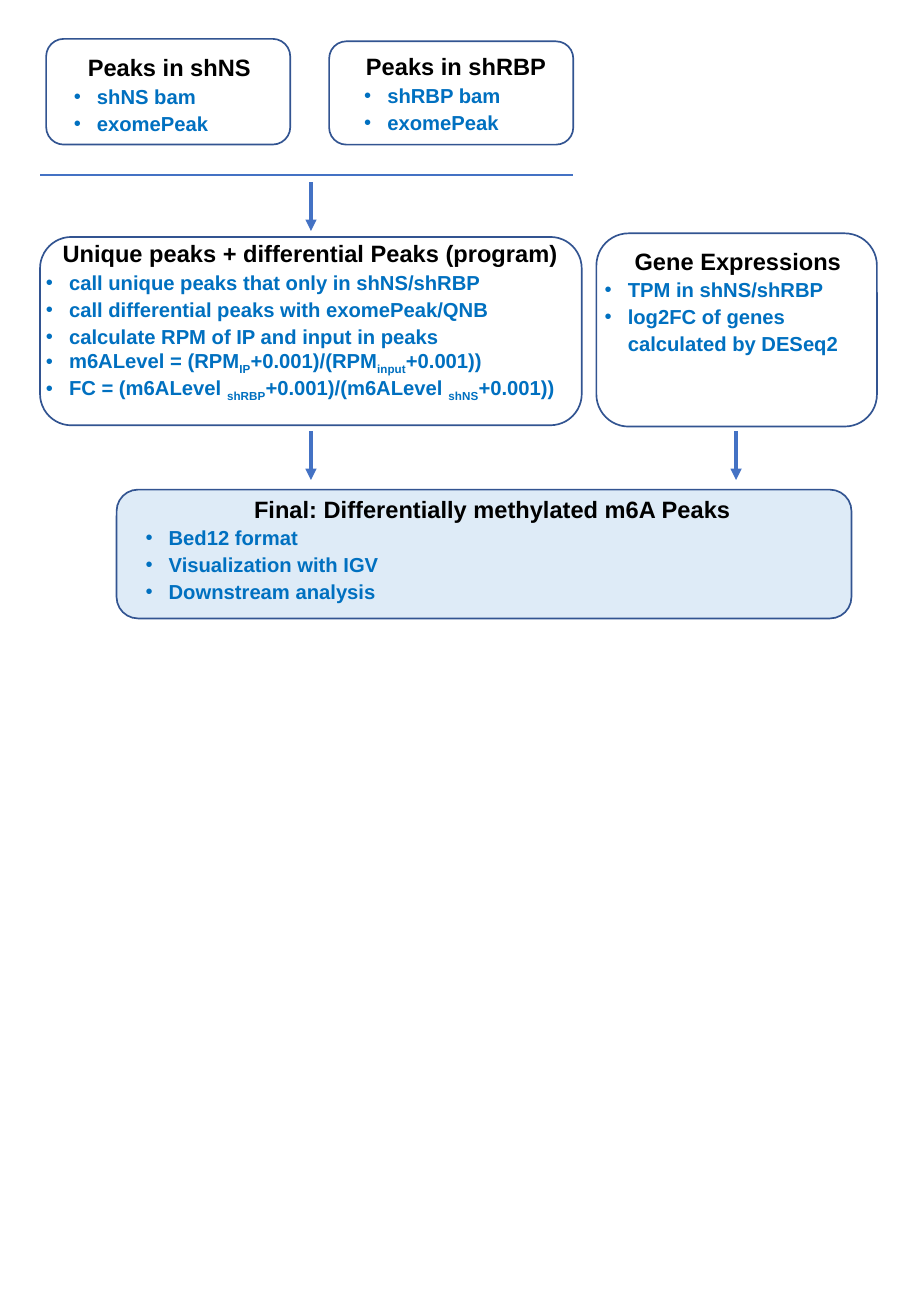
from lxml.etree import SubElement
from pptx import Presentation
from pptx.dml.color import RGBColor
from pptx.enum.shapes import MSO_CONNECTOR, MSO_SHAPE
from pptx.enum.text import PP_ALIGN
from pptx.oxml.ns import qn
from pptx.util import Inches, Pt

FONT = "Arial"
TITLE_COLOR = "000000"
BULLET_COLOR = "0070C0"
BORDER_COLOR = "325491"
FLOW_COLOR = "4472C4"
FINAL_FILL = "DEEBF7"
BULLET_INDENT = 0.19
PROGRAM_X, EXPRESSION_X = 2.56, 6.06
ARROW_LENGTH = 0.4

CARDS = [
    ((0.38, 0.32, 2.01, 0.87), (0.13, 0.07, 1.77, 0.77), None,
     "Peaks in shNS", ["shNS bam", "exomePeak"]),
    ((4.91, 1.92, 2.31, 1.59), (-0.03, 0.06, 2.39, 1.41), None,
     "Gene Expressions",
     ["TPM in shNS/shRBP", "log2FC of genes calculated by DESeq2"]),
    ((2.71, 0.34, 2.01, 0.85), (0.19, 0.04, 1.71, 0.76), None,
     "Peaks in shRBP", ["shRBP bam", "exomePeak"]),
    ((0.33, 1.95, 4.46, 1.55), (-0.05, -0.03, 4.55, 1.44), None,
     "Unique peaks + differential Peaks (program)",
     ["call unique peaks that only in shNS/shRBP",
      "call differential peaks with exomePeak/QNB",
      "calculate RPM of IP and input in peaks",
      "m6ALevel = (RPM_IP_+0.001)/(RPM_input_+0.001))",
      "FC = (m6ALevel _shRBP_+0.001)/(m6ALevel _shNS_+0.001))"]),
    ((0.96, 4.03, 6.05, 1.06), (0.14, -0.01, 5.91, 0.99), FINAL_FILL,
     "Final: Differentially methylated m6A Peaks",
     ["Bed12 format", "Visualization with IGV", "Downstream analysis"]),
]


def color(hex_string):
    return RGBColor.from_string(hex_string)


def format_run(run, size, hex_string):
    run.font.name = FONT
    run.font.size = Pt(size)
    run.font.bold = True
    run.font.color.rgb = color(hex_string)


def add_bullet(text_frame, text):
    paragraph = text_frame.add_paragraph()
    paragraph.line_spacing = Pt(16)
    properties = paragraph._p.get_or_add_pPr()
    properties.set("marL", str(Inches(BULLET_INDENT)))
    properties.set("indent", str(-Inches(BULLET_INDENT)))
    SubElement(properties, qn("a:buFont")).set("typeface", FONT)
    SubElement(properties, qn("a:buChar")).set("char", "•")
    for index, part in enumerate(text.split("_")):
        run = paragraph.add_run()
        run.text = part
        format_run(run, 12, BULLET_COLOR)
        if index % 2:
            run.font._element.set("baseline", "-25000")


def add_card(slide, box, text_box, fill, title, bullets):
    left, top, width, height = box
    offset_x, offset_y, text_width, text_height = text_box
    group = slide.shapes.add_group_shape()
    frame = group.shapes.add_shape(
        MSO_SHAPE.ROUNDED_RECTANGLE,
        Inches(left), Inches(top), Inches(width), Inches(height))
    frame.shadow.inherit = False
    frame.line.color.rgb = color(BORDER_COLOR)
    frame.line.width = Pt(1)
    if fill:
        frame.fill.solid()
        frame.fill.fore_color.rgb = color(fill)
    else:
        frame.fill.background()

    label = group.shapes.add_textbox(
        Inches(left + offset_x), Inches(top + offset_y),
        Inches(text_width), Inches(text_height))
    text_frame = label.text_frame
    text_frame.word_wrap = True
    text_frame.text = title
    heading = text_frame.paragraphs[0]
    heading.alignment = PP_ALIGN.CENTER
    format_run(heading.runs[0], 14, TITLE_COLOR)
    for bullet in bullets:
        add_bullet(text_frame, bullet)


def add_line(slide, start, end, width):
    connector = slide.shapes.add_connector(
        MSO_CONNECTOR.STRAIGHT, *map(Inches, start + end))
    connector.line.color.rgb = color(FLOW_COLOR)
    connector.line.width = Pt(width)
    SubElement(connector._element.spPr, qn("a:effectLst"))
    return connector


def add_down_arrow(slide, x, top):
    arrow = add_line(slide, (x, top), (x, top + ARROW_LENGTH), 2.25)
    SubElement(arrow.line._get_or_add_ln(), qn("a:tailEnd")).set("type", "triangle")


def build_workflow(slide):
    for card in CARDS:
        add_card(slide, *card)
    add_line(slide, (0.33, 1.44), (4.72, 1.44), 1.5)
    for x, top in [(PROGRAM_X, 3.55), (EXPRESSION_X, 3.55), (PROGRAM_X, 1.5)]:
        add_down_arrow(slide, x, top)


presentation = Presentation()
presentation.slide_width = Inches(7.5)
presentation.slide_height = Inches(10.83)
build_workflow(presentation.slides.add_slide(presentation.slide_layouts[6]))
presentation.save("out.pptx")
